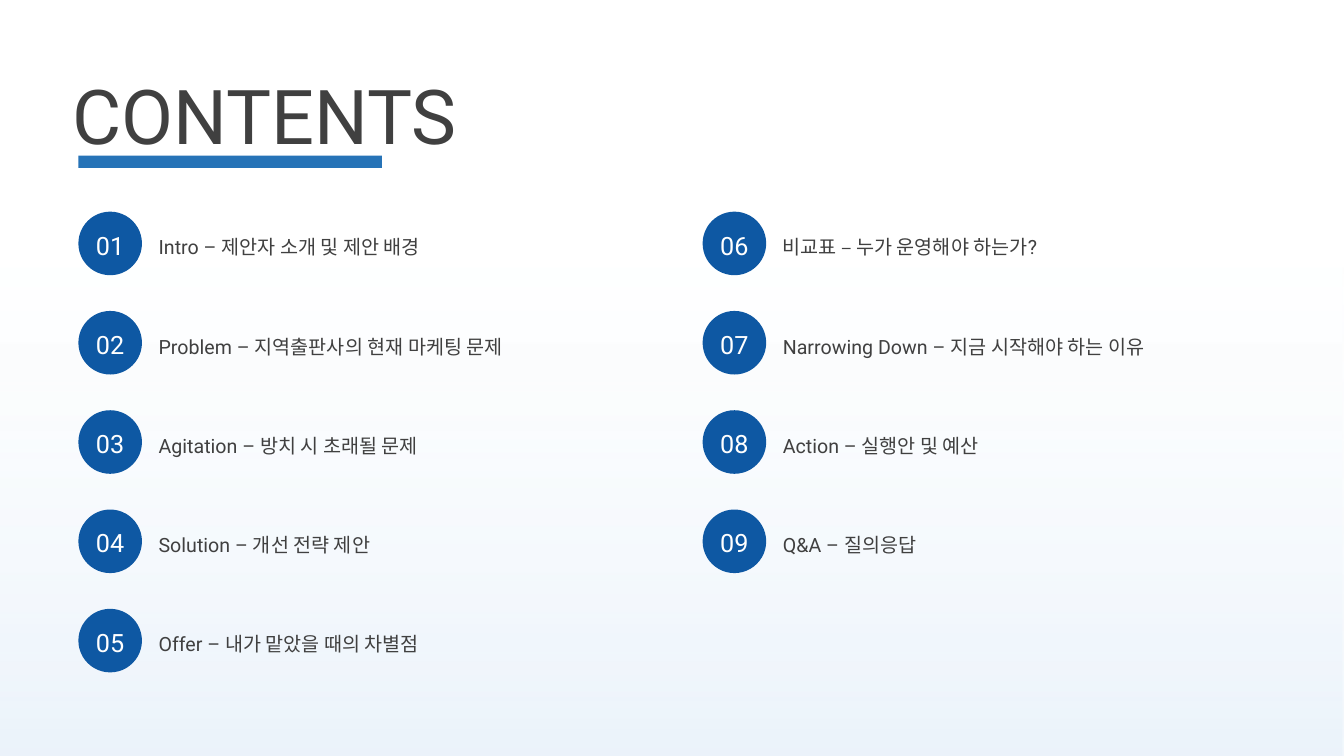
from pptx import Presentation
from pptx.dml.color import RGBColor
from pptx.enum.shapes import MSO_SHAPE
from pptx.enum.text import MSO_ANCHOR, PP_ALIGN
from pptx.oxml.ns import qn
from pptx.util import Pt
from lxml import etree

RECTANGLE, OVAL = MSO_SHAPE.RECTANGLE, MSO_SHAPE.OVAL
TOP, MIDDLE = MSO_ANCHOR.TOP, MSO_ANCHOR.MIDDLE
LEFT, CENTER = PP_ALIGN.LEFT, PP_ALIGN.CENTER

WHITE = RGBColor(0xFF, 0xFF, 0xFF)
PALE_BLUE = RGBColor(0xCF, 0xE3, 0xF5)
DEEP_BLUE = RGBColor(0x0E, 0x58, 0xA3)
BAR_BLUE = RGBColor(0x26, 0x73, 0xB7)
CHARCOAL = RGBColor(0x40, 0x40, 0x40)

WIDTH, HEIGHT = 960, 540
BADGE_SIZE, LABEL_WIDTH, LABEL_HEIGHT = 45.4, 354.4, 56.8
FIRST_LEFT, FIRST_TOP = 56, 151.2
COLUMN_PITCH, ROW_PITCH, LABEL_OFFSET = 445.9, 70.92, 57.3
ROWS_PER_COLUMN = 5

TOPICS = [
    "Intro – 제안자 소개 및 제안 배경",
    "Problem – 지역출판사의 현재 마케팅 문제",
    "Agitation – 방치 시 초래될 문제",
    "Solution – 개선 전략 제안",
    "Offer – 내가 맡았을 때의 차별점",
    "비교표 – 누가 운영해야 하는가?",
    "Narrowing Down – 지금 시작해야 하는 이유",
    "Action – 실행안 및 예산",
    "Q&A – 질의응답",
]


def write(frame, text, size=14, color=CHARCOAL, align=LEFT, anchor=MIDDLE, spacing=None):
    """Fill a text frame with one formatted paragraph."""
    frame.margin_left = frame.margin_right = frame.margin_top = frame.margin_bottom = 0
    frame.word_wrap = True
    frame.vertical_anchor = anchor
    paragraph = frame.paragraphs[0]
    paragraph.alignment = align
    paragraph.line_spacing = spacing
    run = paragraph.add_run()
    run.text = text
    run.font.name = "Roboto"
    run.font.size = Pt(size)
    run.font.color.rgb = color


class ContentsSlide:
    """Draws the elements of a contents slide in one style."""

    def __init__(self, slide):
        self.slide = slide

    def shape(self, kind, left, top, width, height, color=None):
        shape = self.slide.shapes.add_shape(kind, Pt(left), Pt(top), Pt(width), Pt(height))
        shape.shadow.inherit = False
        shape.line.fill.background()
        if color is not None:
            shape.fill.solid()
            shape.fill.fore_color.rgb = color
        return shape

    def backdrop(self, stops):
        backdrop = self.shape(RECTANGLE, 0, 0, WIDTH, HEIGHT)
        backdrop.fill.gradient()
        backdrop.fill.gradient_angle = 90
        for stop, (position, color, _) in zip(backdrop.fill.gradient_stops, stops):
            stop.position = position
            stop.color.rgb = color
        tints = backdrop.element.spPr.iter(qn("a:srgbClr"))
        for tint, (_, _, opacity) in zip(tints, stops):
            etree.SubElement(tint, qn("a:alpha"), val=str(opacity * 1000))

    def text(self, left, top, width, height, text, **style):
        box = self.slide.shapes.add_textbox(Pt(left), Pt(top), Pt(width), Pt(height))
        write(box.text_frame, text, **style)

    def topic(self, index, label):
        column, row = divmod(index, ROWS_PER_COLUMN)
        left = FIRST_LEFT + column * COLUMN_PITCH
        top = FIRST_TOP + row * ROW_PITCH
        label_top = top - (LABEL_HEIGHT - BADGE_SIZE) / 2
        self.text(left + LABEL_OFFSET, label_top, LABEL_WIDTH, LABEL_HEIGHT, label, spacing=1.3)
        badge = self.shape(OVAL, left, top, BADGE_SIZE, BADGE_SIZE, DEEP_BLUE)
        write(badge.text_frame, f"{index + 1:02}", size=18, color=WHITE, align=CENTER, spacing=1.1)


def main():
    deck = Presentation()
    deck.slide_width, deck.slide_height = Pt(WIDTH), Pt(HEIGHT)
    contents = ContentsSlide(deck.slides.add_slide(deck.slide_layouts[6]))
    contents.backdrop([(0, PALE_BLUE, 41), (0.68, WHITE, 20)])
    for index, label in enumerate(TOPICS):
        contents.topic(index, label)
    contents.shape(RECTANGLE, FIRST_LEFT, 111.2, 216.8, 8.8, BAR_BLUE)
    contents.text(51.8, 49, 455.8, 63.4, "CONTENTS", size=54, anchor=TOP)
    deck.save("out.pptx")


if __name__ == "__main__":
    main()
